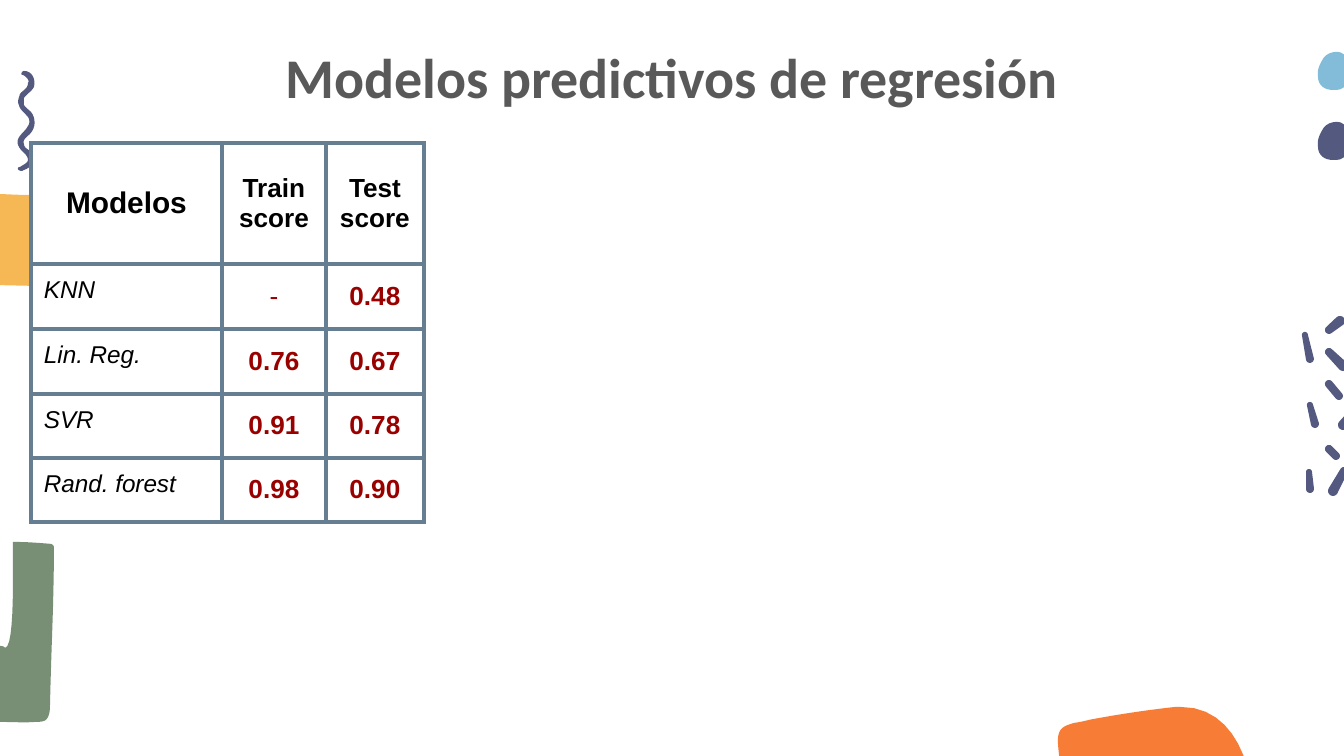
"""Build the slide comparing the scores of the regression models."""
from dataclasses import dataclass
from math import atan2, cos, pi, sin

from lxml.etree import SubElement
from pptx import Presentation
from pptx.dml.color import RGBColor
from pptx.enum.text import MSO_ANCHOR, MSO_AUTO_SIZE, PP_ALIGN
from pptx.oxml.ns import qn
from pptx.util import Emu, Pt

PX = 914400 / 134.4


@dataclass(frozen=True)
class Theme:
    heading_font: str = "Calibri"
    body_font: str = "Arial"
    title_size: int = 30
    models_size: int = 16
    score_size: int = 14
    name_size: int = 13
    border_width: float = 2.25
    title: str = "595959"
    text: str = "000000"
    score: str = "990000"
    border: str = "667E92"
    white: str = "FFFFFF"
    orange: str = "F77C36"
    green: str = "788F75"
    yellow: str = "F6B854"
    indigo: str = "54597F"
    sky: str = "83BCD9"


THEME = Theme()
TITLE = "Modelos predictivos de regresión"
TITLE_BOX = (105, 30, 1134, 84)
SCORES = [
    ("Modelos", "Train score", "Test score"),
    ("KNN", "-", "0.48"),
    ("Lin. Reg.", "0.76", "0.67"),
    ("SVR", "0.91", "0.78"),
    ("Rand. forest", "0.98", "0.90"),
]
TABLE_CORNER = (31, 143)
COLUMN_WIDTHS = (191, 104, 98)
ROW_HEIGHTS = (121, 65, 65, 64, 64)
CELL_MARGIN = 13

ORANGE_STONE = [
    (1060, 766), (1059, 753, 1058, 745, 1058, 742),
    (1058, 738, 1058, 735, 1060, 731), (1063, 726, 1068, 725, 1074, 723),
    (1082, 722, 1088, 720, 1094, 719), (1121, 714, 1148, 710, 1175, 707),
    (1177, 707, 1180, 707, 1181, 707), (1218, 707, 1238, 735, 1247, 766),
]
GREEN_HOOK = [
    (54, 547), (54, 546, 52, 544, 51, 544), (39, 543, 26, 542, 13, 542),
    (13, 548, 13, 562, 13, 578), (13, 609, 12, 648, 5, 648),
    (4, 646, 1, 646, -1, 646), (-1, 722), (11, 722, 24, 723, 36, 722),
    (39, 722, 43, 722, 46, 720), (48, 718, 50, 714, 50, 707),
    (51, 655, 54, 602, 54, 548),
]
YELLOW_PATCH = [
    (-7, 194), (4, 194, 16, 195, 27, 195), (30, 195, 31, 195, 32, 196),
    (32, 198, 34, 200, 34, 202), (34, 208), (36, 234, 40, 262, 38, 286),
    (-7, 285),
]
SQUIGGLE = [
    (24, 71), (32, 71, 36, 79, 34, 87), (32, 91, 27, 94, 24, 98),
    (24, 99, 24, 102, 24, 105), (26, 108, 28, 109, 31, 112),
    (36, 118, 36, 128, 30, 134), (27, 137, 22, 140, 24, 144),
    (24, 148, 28, 149, 31, 152), (34, 155, 35, 160, 32, 163),
    (31, 168, 26, 169, 22, 171), (17, 171, 17, 167, 20, 167),
    (23, 165, 28, 163, 28, 160), (28, 156, 24, 153, 23, 152),
    (17, 146, 16, 141, 20, 136), (23, 132, 26, 130, 28, 126),
    (30, 124, 30, 118, 27, 116), (24, 112, 20, 110, 19, 105),
    (17, 102, 19, 98, 20, 94), (23, 90, 28, 89, 28, 83),
    (30, 81, 27, 77, 23, 75), (20, 75, 22, 71, 24, 71),
]
PEBBLE = [
    (1336, 122), (1331, 122, 1325, 125, 1323, 129),
    (1320, 134, 1317, 140, 1318, 146), (1318, 156, 1325, 160, 1333, 160),
    (1336, 160, 1339, 160, 1341, 159), (1357, 153, 1359, 130, 1343, 124),
    (1341, 122, 1338, 122, 1336, 122),
]
PEBBLE_STEP = 70
OUTLINES = [
    (ORANGE_STONE, THEME.orange, 0),
    (GREEN_HOOK, THEME.green, 0),
    (YELLOW_PATCH, THEME.yellow, 0),
    (SQUIGGLE, THEME.indigo, 0),
    (PEBBLE, THEME.indigo, 0),
    (PEBBLE, THEME.sky, -PEBBLE_STEP),
]
CONFETTI = [
    ((1340, 321, 5), (1329, 330, 4)), ((1329, 352, 4), (1343, 366, 5)),
    ((1358, 407, 4), (1343, 425, 5)), ((1329, 384, 4), (1339, 396, 4)),
    ((1344, 471, 4), (1333, 491, 5)), ((1329, 449, 4), (1336, 456, 4)),
    ((1310, 405, 3), (1315, 424, 4)), ((1309, 472, 3), (1310, 489, 4)),
    ((1305, 335, 3), (1310, 359, 4)),
]


def px(length):
    return Emu(round(length * PX))


def curve_points(nodes, steps=8):
    points = [nodes[0]]
    for node in nodes[1:]:
        if len(node) == 2:
            points.append(node)
            continue
        controls = [points[-1], node[:2], node[2:4], node[4:]]
        for step in range(1, steps + 1):
            t = step / steps
            weights = ((1 - t) ** 3, 3 * t * (1 - t) ** 2, 3 * t * t * (1 - t), t ** 3)
            points.append(tuple(
                sum(weight * control[axis] for weight, control in zip(weights, controls))
                for axis in (0, 1)))
    return points


def capsule_points(start, end, steps=8):
    heading = atan2(end[1] - start[1], end[0] - start[0])
    points = []
    for (x, y, radius), first_angle in ((start, heading + pi / 2), (end, heading - pi / 2)):
        for step in range(steps + 1):
            angle = first_angle + pi * step / steps
            points.append((x + radius * cos(angle), y + radius * sin(angle)))
    return points


def add_outline(slide, points, color, shift=0):
    corners = [(px(x), px(y + shift)) for x, y in points]
    builder = slide.shapes.build_freeform(*corners[0])
    builder.add_line_segments(corners[1:], close=True)
    shape = builder.convert_to_shape()
    shape.shadow.inherit = False
    shape.fill.solid()
    shape.fill.fore_color.rgb = RGBColor.from_string(color)
    shape.line.fill.background()


def write(frame, text, font, size, color, bold=False, italic=False, align=PP_ALIGN.CENTER):
    paragraph = frame.paragraphs[0]
    paragraph.alignment = align
    run = paragraph.add_run()
    run.text = text
    run.font.name, run.font.size = font, Pt(size)
    run.font.bold, run.font.italic = bold, italic
    run.font.color.rgb = RGBColor.from_string(color)


def set_margins(target, margin):
    target.margin_left = target.margin_right = px(margin)
    target.margin_top = target.margin_bottom = px(margin)


def add_borders(cell):
    properties = cell._tc.get_or_add_tcPr()
    for side in ("lnL", "lnR", "lnT", "lnB"):
        line = SubElement(properties, qn(f"a:{side}"), w=str(Pt(THEME.border_width)))
        fill = SubElement(line, qn("a:solidFill"))
        SubElement(fill, qn("a:srgbClr"), val=THEME.border)


def cell_style(row, column):
    if row == 0:
        size = THEME.models_size if column == 0 else THEME.score_size
        return dict(size=size, color=THEME.text, bold=True)
    if column == 0:
        return dict(size=THEME.name_size, color=THEME.text, italic=True, align=PP_ALIGN.LEFT)
    return dict(size=THEME.score_size, color=THEME.score, bold=SCORES[row][column] != "-")


def add_scores(slide):
    size = (sum(COLUMN_WIDTHS), sum(ROW_HEIGHTS))
    table = slide.shapes.add_table(
        len(SCORES), len(COLUMN_WIDTHS), *map(px, TABLE_CORNER + size)).table
    table.first_row = table.horz_banding = False
    for column, width in zip(table.columns, COLUMN_WIDTHS):
        column.width = px(width)
    for row, (values, height) in enumerate(zip(SCORES, ROW_HEIGHTS)):
        table.rows[row].height = px(height)
        for column, value in enumerate(values):
            cell = table.cell(row, column)
            add_borders(cell)
            cell.fill.solid()
            cell.fill.fore_color.rgb = RGBColor.from_string(THEME.white)
            set_margins(cell, CELL_MARGIN)
            is_name = row > 0 and column == 0
            cell.vertical_anchor = MSO_ANCHOR.TOP if is_name else MSO_ANCHOR.MIDDLE
            write(cell.text_frame, value, THEME.body_font, **cell_style(row, column))


def add_title(slide):
    title = slide.shapes.title
    title.left, title.top, title.width, title.height = map(px, TITLE_BOX)
    frame = title.text_frame
    frame.word_wrap, frame.auto_size = True, MSO_AUTO_SIZE.NONE
    frame.vertical_anchor = MSO_ANCHOR.TOP
    set_margins(frame, CELL_MARGIN)
    write(frame, TITLE, THEME.heading_font, THEME.title_size, THEME.title, bold=True)


def main():
    presentation = Presentation()
    presentation.slide_width, presentation.slide_height = px(1344), px(756)
    slide = presentation.slides.add_slide(presentation.slide_layouts[5])
    for nodes, color, shift in OUTLINES:
        add_outline(slide, curve_points(nodes), color, shift)
    for start, end in CONFETTI:
        add_outline(slide, capsule_points(start, end), THEME.indigo)
    add_title(slide)
    add_scores(slide)
    presentation.save("out.pptx")


if __name__ == "__main__":
    main()
